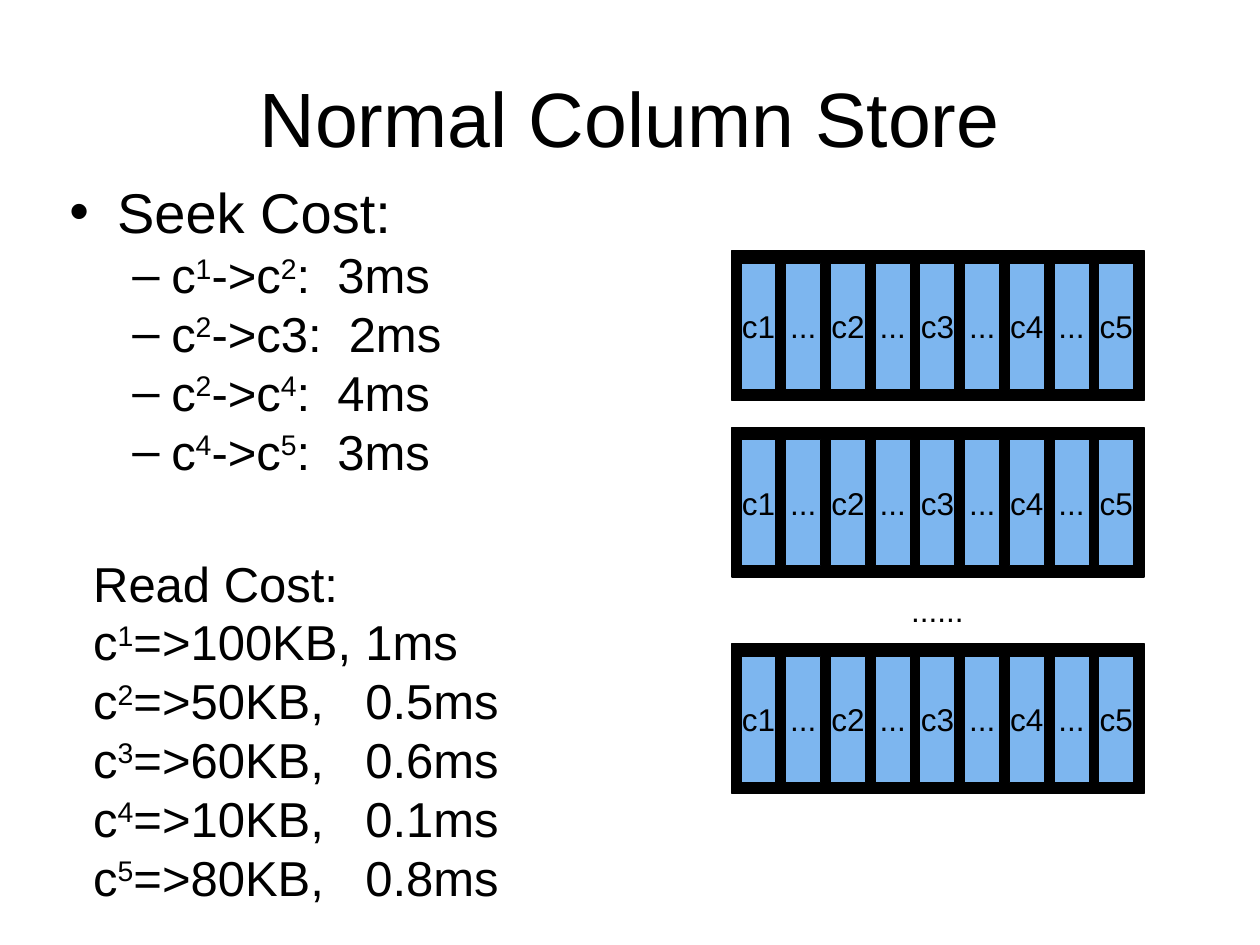
from dataclasses import dataclass

from pptx import Presentation
from pptx.dml.color import RGBColor
from pptx.enum.shapes import MSO_SHAPE as Shape
from pptx.enum.text import MSO_ANCHOR as Anchor, MSO_AUTO_SIZE as AutoSize, PP_ALIGN as Align
from pptx.oxml.xmlchemy import OxmlElement
from pptx.util import Inches, Pt

BLACK = RGBColor(0x00, 0x00, 0x00)
BLUE = RGBColor(0x7D, 0xB6, 0xEF)
FONT = "Arial"

# Column blocks, in inches
BLOCK_LEFT, BLOCK_WIDTH, BLOCK_HEIGHT = 5.81, 3.27, 1.19
BLOCK_TOPS = (1.99, 3.39, 5.11)
CELL_WIDTH, CELL_HEIGHT, CELL_PITCH = 0.28, 1.0, 0.355
CELL_INSET_X, CELL_INSET_Y = 0.07, 0.1
LABEL_WIDTH, LABEL_HEIGHT, LABEL_DROP = 0.38, 0.4, 0.3
CELL_LABELS = ("c1", "...", "c2", "...", "c3", "...", "c4", "...", "c5")


@dataclass(frozen=True)
class Line:
    """One paragraph; the character after each ^ is raised."""
    text: str
    size: int
    align: Align = Align.LEFT
    bullet: str = ""
    level: int = 0
    margin: float = 0
    hang: float = 0
    before: int = 0
    tab: float = 0


def add_properties(para, line: Line) -> None:
    """Set the indent, bullet and tab stop of a paragraph."""
    properties = para._p.get_or_add_pPr()
    if line.bullet:
        properties.set("marL", str(Inches(line.margin)))
        properties.set("indent", str(-Inches(line.hang)))
        typeface = OxmlElement("a:buFont")
        typeface.set("typeface", FONT)
        bullet = OxmlElement("a:buChar")
        bullet.set("char", line.bullet)
        properties.extend([typeface, bullet])
    if line.tab:
        tabs = OxmlElement("a:tabLst")
        stop = OxmlElement("a:tab")
        stop.set("pos", str(Inches(line.tab)))
        stop.set("algn", "l")
        tabs.append(stop)
        properties.append(tabs)


def add_span(para, text: str, raised: bool = False) -> None:
    span = para.add_run()
    span.text = text
    if raised:
        span.font._element.set("baseline", "30000")


def add_text(shapes, left: float, top: float, width: float, height: float,
             lines: list[Line], anchor: Anchor = Anchor.TOP,
             wrap: bool = True, grow: bool = False) -> None:
    box = shapes.add_textbox(Inches(left), Inches(top), Inches(width), Inches(height))
    frame = box.text_frame
    frame.word_wrap = wrap
    frame.auto_size = AutoSize.SHAPE_TO_FIT_TEXT if grow else AutoSize.NONE
    frame.vertical_anchor = anchor
    frame.margin_left = frame.margin_right = Inches(0.05)
    frame.margin_top = frame.margin_bottom = Inches(0.05)
    for index, line in enumerate(lines):
        para = frame.add_paragraph() if index else frame.paragraphs[0]
        add_properties(para, line)
        para.alignment = line.align
        para.level = line.level
        para.space_before = Pt(line.before)
        para.font.size = Pt(line.size)
        para.font.name = FONT
        para.font.color.rgb = BLACK
        first, *rest = line.text.split("^")
        add_span(para, first)
        for part in rest:
            add_span(para, part[0], raised=True)
            if part[1:]:
                add_span(para, part[1:])


def add_rectangle(shapes, left: float, top: float, width: float, height: float,
                  fill: RGBColor) -> None:
    rectangle = shapes.add_shape(Shape.RECTANGLE, Inches(left), Inches(top),
                                 Inches(width), Inches(height))
    rectangle.shadow.inherit = False
    rectangle.fill.solid()
    rectangle.fill.fore_color.rgb = fill
    rectangle.line.color.rgb = BLACK
    rectangle.line.width = Pt(0.75)


def add_block(page, top: float) -> None:
    """Draw a black block holding one labelled cell per column."""
    add_rectangle(page.shapes, BLOCK_LEFT, top, BLOCK_WIDTH, BLOCK_HEIGHT, BLACK)
    cell_top = top + CELL_INSET_Y
    for index, label in enumerate(CELL_LABELS):
        cell = page.shapes.add_group_shape().shapes
        left = BLOCK_LEFT + CELL_INSET_X + index * CELL_PITCH
        add_rectangle(cell, left, cell_top, CELL_WIDTH, CELL_HEIGHT, BLUE)
        add_text(cell, left + (CELL_WIDTH - LABEL_WIDTH) / 2, cell_top + LABEL_DROP,
                 LABEL_WIDTH, LABEL_HEIGHT, [Line(label, 18, Align.CENTER)],
                 Anchor.MIDDLE, wrap=False, grow=True)


def main() -> None:
    deck = Presentation()
    deck.slide_width, deck.slide_height = Inches(10), Inches(7.5)
    page = deck.slides.add_slide(deck.slide_layouts[6])

    # Title
    add_text(page.shapes, 0.5, 0.3, 9, 1.25,
             [Line("Normal Column Store", 44, Align.CENTER)], Anchor.MIDDLE)

    # Seek costs
    seeks = ("c^1->c^2:  3ms", "c^2->c3:  2ms", "c^2->c^4:  4ms", "c^4->c^5:  3ms")
    heading = Line("Seek Cost:", 32, bullet="•", margin=0.38, hang=0.38, before=7)
    add_text(page.shapes, 0.5, 1.36, 9, 4.95, [heading] + [
        Line(seek, 28, bullet="–", level=1, margin=0.81, hang=0.31) for seek in seeks])

    # Read costs
    reads = (("100KB", "1ms"), ("50KB", "0.5ms"), ("60KB", "0.6ms"),
             ("10KB", "0.1ms"), ("80KB", "0.8ms"))
    add_text(page.shapes, 0.69, 4.34, 4.7, 2.9, [Line("Read Cost:", 28)] + [
        Line(f"c^{number}=>{size},\t{time}", 28, tab=2.16)
        for number, (size, time) in enumerate(reads, 1)], grow=True)

    # Column blocks, with dots for the ones left out
    for top in BLOCK_TOPS:
        add_block(page, top)
    add_text(page.shapes, 6.82, 4.64, 1.24, 0.4,
             [Line("......", 18, Align.CENTER)], grow=True)

    deck.save("out.pptx")


if __name__ == "__main__":
    main()
